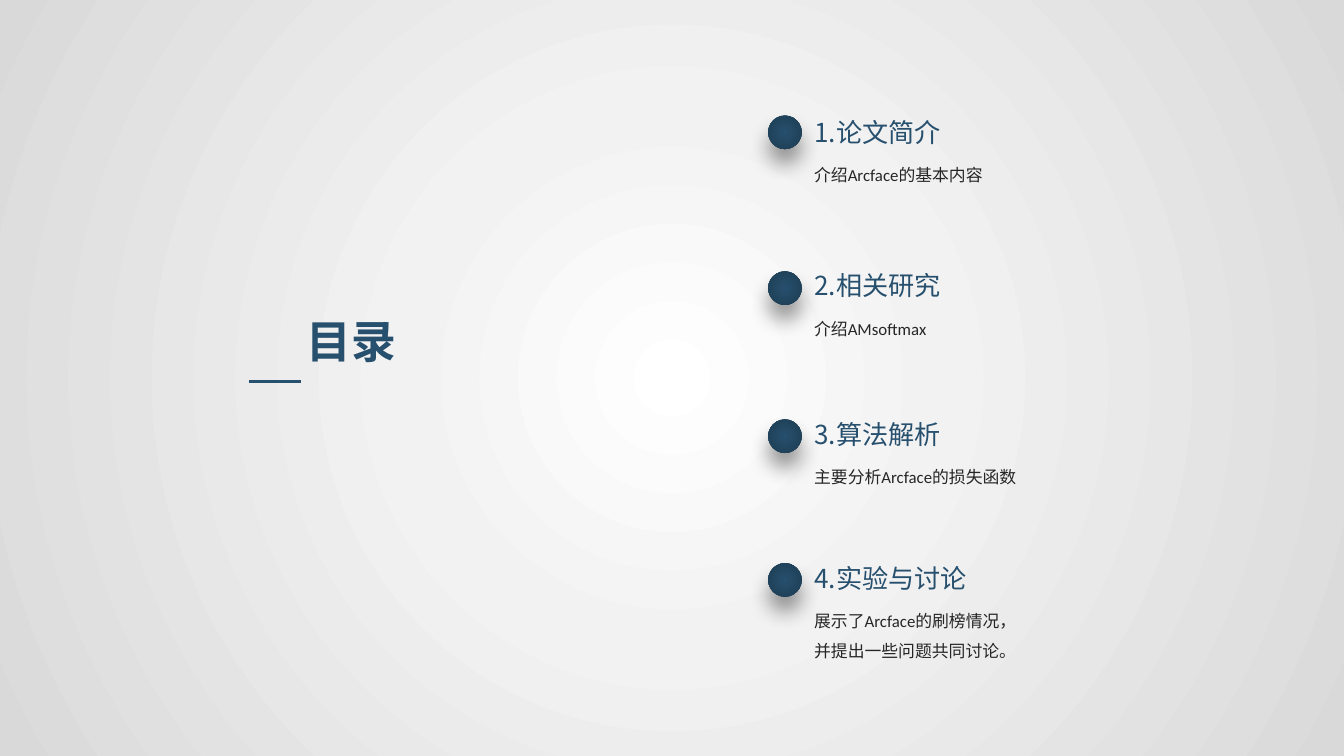
from dataclasses import dataclass
from pptx import Presentation
from pptx.dml.color import RGBColor
from pptx.enum.lang import MSO_LANGUAGE_ID
from pptx.enum.shapes import MSO_CONNECTOR, MSO_SHAPE
from pptx.enum.text import MSO_ANCHOR, MSO_AUTO_SIZE, PP_ALIGN
from pptx.oxml import parse_xml
from pptx.oxml.ns import nsdecls
from pptx.util import Pt


@dataclass(frozen=True)
class Theme:
    blue: str = "27506E"
    deep: str = "1D3C52"
    ink: str = "262626"
    back: tuple = ((0, "FFFFFF"), (35, "F2F2F2"), (100, "D9D9D9"))
    head: str = "Noto Sans CJK SC"
    body: str = "Calibri"
    big: int = 24
    mid: int = 14
    small: int = 9


def glow(stops):
    """Circular gradient that starts in the centre."""
    marks = "".join(f'<a:gs pos="{pos * 1000}"><a:srgbClr val="{color}"/></a:gs>'
                    for pos, color in stops)
    return (f'<a:gradFill {nsdecls("a")} rotWithShape="1"><a:gsLst>{marks}</a:gsLst>'
            '<a:path path="circle"><a:fillToRect l="50000" t="50000" r="50000" b="50000"/>'
            '</a:path></a:gradFill>')


class Page:
    def __init__(self, slide, theme):
        self.slide, self.theme = slide, theme

    def back(self):
        self.slide.element.cSld.insert(0, parse_xml(
            f'<p:bg {nsdecls("p", "a")}><p:bgPr>{glow(self.theme.back)}'
            '<a:effectLst/></p:bgPr></p:bg>'))

    def fill(self, frame, lines, size, font, color, bold=False,
             align=PP_ALIGN.LEFT, space=1.0, wrap=False, inset=3.6):
        frame.auto_size = MSO_AUTO_SIZE.NONE
        frame.word_wrap = wrap
        frame.vertical_anchor = MSO_ANCHOR.TOP
        frame.margin_left = frame.margin_right = Pt(7.2)
        frame.margin_top = frame.margin_bottom = Pt(inset)
        for i, line in enumerate(lines):
            para = frame.add_paragraph() if i else frame.paragraphs[0]
            para.alignment, para.line_spacing = align, space
            run = para.add_run()
            run.text = line
            face = run.font
            face.name, face.size, face.bold = font, Pt(size), bold
            face.color.rgb = RGBColor.from_string(color)
            face.language_id = MSO_LANGUAGE_ID.SIMPLIFIED_CHINESE
            # East Asian face, placed right after the Latin one
            run._r.rPr.find("{*}latin").addnext(
                parse_xml(f'<a:ea {nsdecls("a")} typeface="{font}"/>'))

    def title(self, text, x, y, w, h):
        box = self.slide.shapes.title
        box.left, box.top, box.width, box.height = Pt(x), Pt(y), Pt(w), Pt(h)
        t = self.theme
        self.fill(box.text_frame, [text], t.big, t.head, t.blue, bold=True,
                  align=PP_ALIGN.CENTER, inset=0)

    def text(self, lines, x, y, w, h, *style, **more):
        box = self.slide.shapes.add_textbox(Pt(x), Pt(y), Pt(w), Pt(h))
        self.fill(box.text_frame, lines, *style, **more)

    def rule(self, x, y, end):
        line = self.slide.shapes.add_connector(
            MSO_CONNECTOR.STRAIGHT, Pt(x), Pt(y), Pt(end), Pt(y))
        line.line.width = Pt(1.5)
        line.line.color.rgb = RGBColor.from_string(self.theme.blue)
        line._element.spPr.append(parse_xml(f'<a:effectLst {nsdecls("a")}/>'))

    def dot(self, x, y, size):
        ball = self.slide.shapes.add_shape(
            MSO_SHAPE.OVAL, Pt(x), Pt(y), Pt(size), Pt(size))
        ball.line.fill.background()
        props = ball.element.spPr
        props.insert(2, parse_xml(glow(((0, self.theme.blue), (100, self.theme.deep)))))
        props.append(parse_xml(
            f'<a:effectLst {nsdecls("a")}><a:outerShdw blurRad="{Pt(11)}" dist="{Pt(8)}" '
            'dir="5400000" algn="t" rotWithShape="0"><a:srgbClr val="000000">'
            '<a:alpha val="40000"/></a:srgbClr></a:outerShdw></a:effectLst>'))


deck = Presentation()
deck.slide_width, deck.slide_height = Pt(720), Pt(405)
theme = Theme()
page = Page(deck.slides.add_slide(deck.slide_layouts[5]), theme)
page.back()

# Heading with its short rule
page.title("目录", 157, 167.8, 62.6, 36)
page.rule(133.2, 204.5, 161.3)

# Contents: dot top, text top, heading width, heading, details
items = [
    (61.9, 61.2, 87, "论文简介", ["介绍Arcface的基本内容"]),
    (145.4, 143.5, 87, "相关研究", ["介绍AMsoftmax"]),
    (224.7, 223.1, 87, "算法解析", ["主要分析Arcface的损失函数"]),
    (301.7, 300.2, 101.5, "实验与讨论",
     ["展示了Arcface的刷榜情况，", "并提出一些问题共同讨论。"]),
]
for num, (spot, top, wide, name, notes) in enumerate(items, 1):
    page.dot(411.5, spot, 18)
    page.text([f"{num}.{name}"], 429.1, top, wide, 24.5,
              theme.mid, theme.head, theme.blue, inset=1)
    page.text(notes, 429.1, top + 18.1, 196.6, 7.5 + 16.2 * len(notes),
              theme.small, theme.body, theme.ink, space=1.5, wrap=True)

deck.save("out.pptx")
